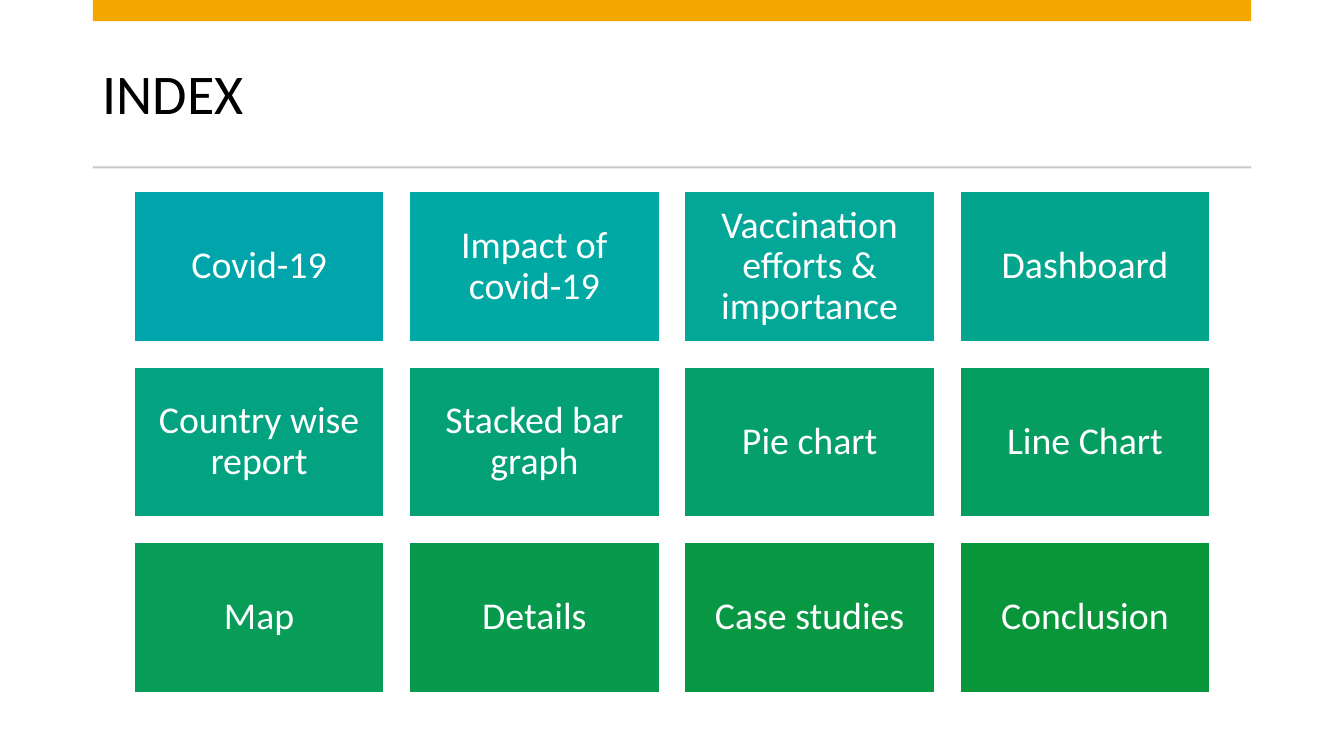
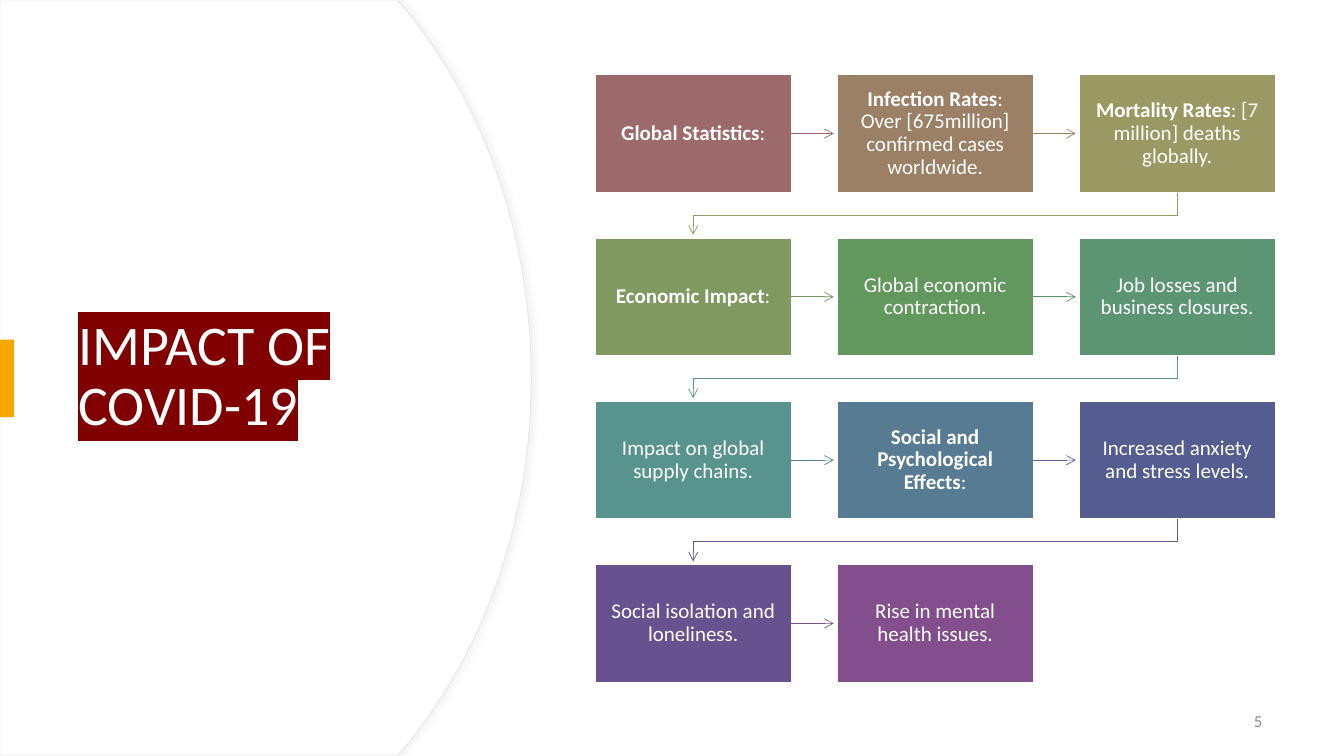
"""Build an index slide and a process slide on the impact of covid-19."""
from dataclasses import dataclass

from lxml import etree
from pptx import Presentation
from pptx import util as u
from pptx.dml.color import RGBColor
from pptx.enum import shapes, text
from pptx.oxml import ns

WIDTH, HEIGHT = 13.33, 7.5
FONT = "Calibri"
COLORS = {
    "white": "FFFFFF", "black": "000000", "accent": "F5A700", "rule": "C9C9C9",
    "edge": "E9E9E9", "shadow": "D9D9D9", "highlight": "800000", "number": "8C8C8C",
    "topic 1": "00A5AB", "topic 2": "01A9A5", "topic 3": "02A798", "topic 4": "03A58D",
    "topic 5": "03A381", "topic 6": "04A176", "topic 7": "059F6C", "topic 8": "069D61",
    "topic 9": "079C57", "topic 10": "079A4D", "topic 11": "089844", "topic 12": "09963B",
    "step 1": "9C6A6A", "step 2": "9B8066", "step 3": "9A9863", "step 4": "7F9961",
    "step 5": "62975E", "step 6": "5B9574", "step 7": "59938E", "step 8": "567B92",
    "step 9": "545C90", "step 10": "67518E", "step 11": "824F8C",
    "arrow 1": "9C6A6A", "arrow 2": "9B8366", "arrow 3": "969A63", "arrow 4": "769860",
    "arrow 5": "5D9665", "arrow 6": "5A9482", "arrow 7": "578592", "arrow 8": "546390",
    "arrow 9": "64528E", "arrow 10": "824F8C",
}
TOPICS = [
    "Covid-19", "Impact of covid-19", "Vaccination efforts & importance", "Dashboard",
    "Country wise report", "Stacked bar graph", "Pie chart", "Line Chart",
    "Map", "Details", "Case studies", "Conclusion",
]
STEPS = [
    ("Global Statistics", ":"),
    ("Infection Rates", ": Over [675million] confirmed cases worldwide."),
    ("Mortality Rates", ": [7 million] deaths globally."),
    ("Economic Impact", ":"),
    ("", "Global economic contraction."),
    ("", "Job losses and business closures."),
    ("", "Impact on global supply chains."),
    ("Social and Psychological Effects", ":"),
    ("", "Increased anxiety and stress levels."),
    ("", "Social isolation and loneliness."),
    ("", "Rise in mental health issues."),
]


@dataclass
class Grid:
    """Equal cells filled row by row, in inches."""

    left: float
    top: float
    width: float
    height: float
    gap: float
    columns: int

    def cell(self, index):
        """Return left, top, width and height of one cell."""
        row, column = divmod(index, self.columns)
        return (self.left + column * (self.width + self.gap),
                self.top + row * (self.height + self.gap), self.width, self.height)


INDEX_GRID = Grid(1.33, 1.9, 2.48, 1.49, 0.25, 4)
STEP_GRID = Grid(5.9, 0.74, 1.95, 1.17, 0.45, 3)


def rgb(name):
    """Look up a named colour."""
    return RGBColor.from_string(COLORS[name])


def inches(*lengths):
    """Convert lengths in inches to slide units."""
    return [u.Inches(length) for length in lengths]


def style_run(run, size, color, bold=False):
    """Give a run its font, size, colour and weight."""
    run.font.name, run.font.size, run.font.bold = FONT, u.Pt(size), bold
    run.font.color.rgb = rgb(color)


def write(shape, content, size, color, align, lead="", spacing=0.9):
    """Write one paragraph, with an optional bold lead, centred vertically."""
    frame = shape.text_frame
    frame.word_wrap = True
    frame.vertical_anchor = text.MSO_ANCHOR.MIDDLE
    paragraph = frame.paragraphs[0]
    paragraph.text = lead or content
    paragraph.alignment, paragraph.line_spacing = align, spacing
    style_run(paragraph.runs[0], size, color, bool(lead))
    if lead:
        rest = paragraph.add_run()
        rest.text = content
        style_run(rest, size, color)
    return paragraph


def add_block(slide, place, fill, border=None):
    """Draw a flat rectangle."""
    block = slide.shapes.add_shape(shapes.MSO_SHAPE.RECTANGLE, *inches(*place))
    block.shadow.inherit = False
    block.fill.solid()
    block.fill.fore_color.rgb = rgb(fill)
    if border:
        block.line.color.rgb, block.line.width = rgb(border), u.Pt(1)
    else:
        block.line.fill.background()
    return block


def add_card(slide, place, fill, content, size, lead=""):
    """Draw a filled card with centred white text."""
    card = add_block(slide, place, fill, "white")
    frame = card.text_frame
    frame.margin_left = frame.margin_right = u.Inches(0.1)
    frame.margin_top = frame.margin_bottom = u.Inches(0.1)
    write(card, content, size, "white", text.PP_ALIGN.CENTER, lead)
    return card


def add_title(slide, place, content, color, highlight=None):
    """Write the slide title, with an optional highlight behind it."""
    title = slide.shapes.add_textbox(*inches(*place))
    paragraph = write(title, content, 40, color, text.PP_ALIGN.LEFT)
    if highlight:
        mark = etree.Element(ns.qn("a:highlight"))
        etree.SubElement(mark, ns.qn("a:srgbClr"), val=COLORS[highlight])
        properties = paragraph.runs[0].font._element
        properties.find(ns.qn("a:solidFill")).addnext(mark)


def add_outline(slide, points, close):
    """Draw straight segments through points given in inches."""
    start, *others = [inches(*point) for point in points]
    builder = slide.shapes.build_freeform(*start, scale=1.0)
    builder.add_line_segments(others, close=close)
    outline = builder.convert_to_shape()
    outline.shadow.inherit = False
    return outline


def point_arrow(arrow, color):
    """Give a line its colour, thin width and open arrowhead."""
    arrow.line.color.rgb, arrow.line.width = rgb(color), u.Pt(0.5)
    properties = arrow._element.spPr
    etree.SubElement(properties.find(ns.qn("a:ln")), ns.qn("a:tailEnd"), type="arrow")
    if properties.find(ns.qn("a:effectLst")) is None:
        etree.SubElement(properties, ns.qn("a:effectLst"))


def add_step_arrow(slide, card, index):
    """Lead from one step to the next, in its row or down to a new one."""
    left, top, width, height = STEP_GRID.cell(index)
    next_left, next_top = STEP_GRID.cell(index + 1)[:2]
    clearance = 0.03
    if next_top == top:
        middle = top + height / 2
        arrow = slide.shapes.add_connector(
            shapes.MSO_CONNECTOR.STRAIGHT,
            *inches(left + width, middle, next_left - clearance, middle))
        arrow.begin_connect(card, 3)
    else:
        start, end, bottom = left + width / 2, next_left + width / 2, top + height
        turn = bottom + STEP_GRID.gap / 2
        arrow = add_outline(slide, [(start, bottom), (start, turn), (end, turn),
                                    (end, next_top - clearance)], False)
        arrow.fill.background()
    point_arrow(arrow, f"arrow {index + 1}")


def bezier(controls, count=40):
    """Sample a cubic curve."""
    weights = [((1 - t) ** 3, 3 * t * (1 - t) ** 2, 3 * t * t * (1 - t), t ** 3)
               for t in (step / count for step in range(count + 1))]
    return [tuple(sum(w * value for w, value in zip(weight, axis)) for axis in zip(*controls))
            for weight in weights]


def add_round_panel(slide):
    """Draw the white title panel with its curved, softly shaded edge."""
    upper = [(3.94, 0)] + bezier([(4.01, 0.08), (4.79, 1.02), (5.27, 2.32), (5.27, HEIGHT / 2)])
    lower = [(x, HEIGHT - y) for x, y in reversed(upper[:-1])]
    panel = add_outline(slide, [(0, 0), *upper, *lower, (0, HEIGHT)], True)
    panel.fill.solid()
    panel.fill.fore_color.rgb = rgb("white")
    panel.line.color.rgb, panel.line.width = rgb("edge"), u.Pt(0.75)
    effects = panel._element.spPr.find(ns.qn("a:effectLst"))
    shade = etree.SubElement(effects, ns.qn("a:outerShdw"), blurRad=str(u.Pt(4)),
                             dist=str(u.Pt(3)), dir="0")
    tint = etree.SubElement(shade, ns.qn("a:srgbClr"), val=COLORS["shadow"])
    etree.SubElement(tint, ns.qn("a:alpha"), val="30000")


def add_page_number(slide, number):
    """Write the page number at the lower right."""
    footer = slide.shapes.add_textbox(*inches(9.62, 6.95, 3, 0.4))
    write(footer, number, 12, "number", text.PP_ALIGN.RIGHT, spacing=1.0)


def build_index(slide):
    """Lay out the index of topics."""
    left, width = 0.92, 11.49
    add_title(slide, (left, 0.37, width, 1.18), "INDEX", "black")
    add_block(slide, (left, 0, width, 0.21), "accent")
    add_block(slide, (left, 1.65, width, 0.02), "rule")
    for index, topic in enumerate(TOPICS):
        add_card(slide, INDEX_GRID.cell(index), f"topic {index + 1}", topic, 27)


def build_impact(slide):
    """Lay out the chain of impacts beside the title panel."""
    add_round_panel(slide)
    add_title(slide, (0.68, 1.27, 3.94, 4.95), "IMPACT OF COVID-19", "white", "highlight")
    add_block(slide, (0, 3.37, 0.14, 0.77), "accent")
    add_page_number(slide, "5")
    for index, (lead, detail) in enumerate(STEPS):
        card = add_card(slide, STEP_GRID.cell(index), f"step {index + 1}", detail, 15, lead)
        if index + 1 < len(STEPS):
            add_step_arrow(slide, card, index)


def main():
    """Build and save the presentation."""
    deck = Presentation()
    deck.slide_width, deck.slide_height = inches(WIDTH, HEIGHT)
    for build in (build_index, build_impact):
        build(deck.slides.add_slide(deck.slide_layouts[6]))
    deck.save("out.pptx")


if __name__ == "__main__":
    main()
